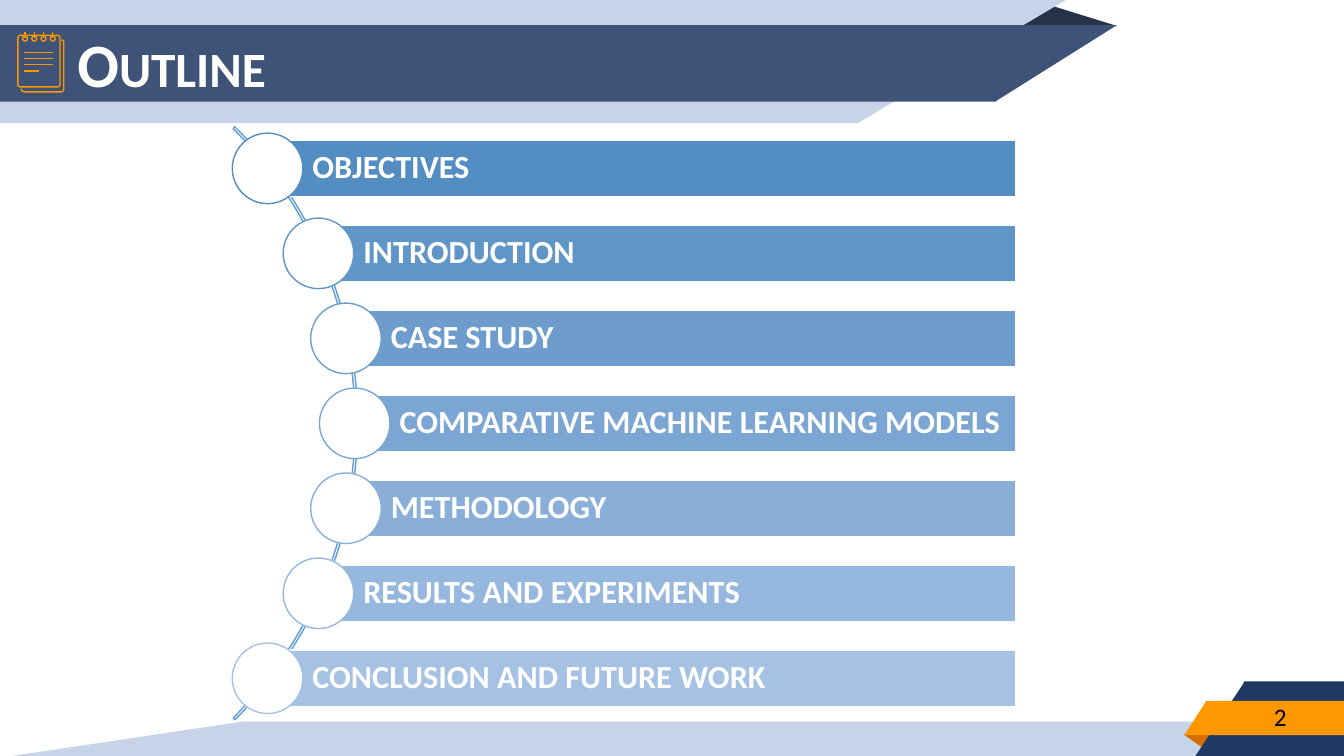
from math import sqrt

from lxml import etree
from pptx import Presentation
from pptx.dml.color import RGBColor as RGB
from pptx.enum.shapes import MSO_CONNECTOR as CONN, MSO_SHAPE as SHAPE
from pptx.enum.text import MSO_ANCHOR as ANCHOR, PP_ALIGN as ALIGN
from pptx.oxml.ns import qn
from pptx.util import Pt

COLORS = {
    "white": "FFFFFF", "black": "000000", "pale": "C7D3E6", "slate": "3F5378",
    "ink": "263248", "navy": "203864", "orange": "FF9800", "rust": "D26F00",
    "arc": "5F9CD5",
}


def style(sp, fill=None, line=None, weight=1):
    """Give a shape a flat fill and outline; None means neither."""
    sp.shadow.inherit = False
    if fill:
        sp.fill.solid()
        sp.fill.fore_color.rgb = RGB.from_string(fill)
    else:
        sp.fill.background()
    if line:
        sp.line.color.rgb = RGB.from_string(line)
        sp.line.width = Pt(weight)
    else:
        sp.line.fill.background()


def write(sp, text, size, color, bold, align, margins):
    tf = sp.text_frame
    frame = {"word_wrap": True, "vertical_anchor": ANCHOR.MIDDLE}
    sides = ("left", "top", "right", "bottom")
    frame.update({f"margin_{side}": Pt(m) for side, m in zip(sides, margins)})
    for name, value in frame.items():
        setattr(tf, name, value)
    p = tf.paragraphs[0]
    p.alignment, p.line_spacing = align, 0.9
    r = p.add_run()
    r.text = text
    for name, value in {"name": "Calibri", "size": Pt(size), "bold": bold}.items():
        setattr(r.font, name, value)
    r.font.color.rgb = RGB.from_string(color)
    return r


prs = Presentation()
prs.slide_width, prs.slide_height = Pt(960), Pt(540)
s = prs.slides.add_slide(prs.slide_layouts[6])
shapes = s.shapes

# Footer band, header ribbon and page tab: kind, box, colour, rotation, flipped
RECT, WEDGE, PEAK = SHAPE.RECTANGLE, SHAPE.RIGHT_TRIANGLE, SHAPE.ISOSCELES_TRIANGLE
decor = [
    (RECT, 171.4, 515.5, 709.9, 25.9, "pale", 0, False),
    (WEDGE, -0.7, 515.5, 173.5, 25.9, "pale", 0, True),
    (PEAK, 709.9, 0, 87.8, 18.5, "ink", 0, False),
    (RECT, -0.7, -0.7, 614.2, 88.6, "pale", 0, False),
    (WEDGE, 612.7, -0.7, 149.8, 88.6, "pale", 180, True),
    (RECT, -0.7, 18, 712.1, 54.7, "slate", 0, False),
    (WEDGE, 710.6, 18, 87.1, 54.7, "slate", 180, True),
    (PEAK, 845.3, 524.4, 20.9, 10.1, "rust", 180, False),
    (RECT, 888.5, 486.7, 72, 53.3, "navy", 0, False),
    (WEDGE, 853.9, 486.7, 35.3, 53.3, "navy", 0, True),
    (RECT, 861.1, 500.6, 99.4, 24.5, "orange", 0, False),
    (WEDGE, 846, 500.6, 15.8, 24.5, "orange", 0, True),
]
for kind, x, y, w, h, color, turn, flipped in decor:
    sp = shapes.add_shape(kind, Pt(x), Pt(y), Pt(w), Pt(h))
    style(sp, COLORS[color])
    sp.rotation = turn
    if kind == PEAK:
        sp.adjustments[0] = 0.32
    if flipped:
        sp._element.spPr.xfrm.set("flipH", "1")

# Notepad icon
ORANGE, STROKE = COLORS["orange"], 0.96
back_edge = [(15.1, 63.4), (15.8, 65), (17.3, 65.6), (43.9, 65.6), (45.2, 65),
             (45.6, 63.4), (45.6, 29.8), (45, 28.8), (43.9, 28.6)]
points = [(Pt(x), Pt(y)) for x, y in back_edge]
outline = shapes.build_freeform(*points[0], scale=1)
outline.add_line_segments(points[1:], close=False)
style(outline.convert_to_shape(), None, ORANGE, STROKE)

page = shapes.add_shape(SHAPE.ROUNDED_RECTANGLE, Pt(12.8), Pt(25.2), Pt(30.1), Pt(36.9))
page.adjustments[0] = 0.06
style(page, None, ORANGE, STROKE)

strokes = [(17.5, y, x, y) for x, y in ((37.9, 37.4), (37.9, 41.9), (37.9, 46.3), (28.1, 50.8))]
for i in range(4):
    x = 17.9 + 6.6 * i
    ring = shapes.add_shape(SHAPE.OVAL, Pt(x - 1.8), Pt(25.7), Pt(3.6), Pt(3.6))
    style(ring, None, ORANGE, STROKE)
    strokes.append((x, 23, x, 27.4))
for ends in strokes:
    line = shapes.add_connector(CONN.STRAIGHT, *[Pt(v) for v in ends])
    line.line.color.rgb = RGB.from_string(ORANGE)
    line.line.width = Pt(STROKE)
    etree.SubElement(line._element.spPr, qn("a:effectLst"))

title = shapes.add_textbox(Pt(48.2), Pt(17.3), Pt(689), Pt(62.6))
r = write(title, "Outline", 44, COLORS["white"], True, ALIGN.LEFT, [7.2] * 4)
r.font._element.set("cap", "small")
number = shapes.add_textbox(Pt(881.3), Pt(501.1), Pt(66.2), Pt(23.8))
write(number, "2", 18, COLORS["black"], False, ALIGN.CENTER, [7.2] * 4)

# Agenda: bars start at the centres of circles that sit on one arc
CENTER_X, CENTER_Y, RADIUS = -44, 302.4, 297.4
PITCH, BAR_RIGHT, BAR_H, DOT = 60.7, 725.5, 40.2, 50.4
ARC = 599
agenda = [
    ("OBJECTIVES", "538DC1"),
    ("INTRODUCTION", "6095C7"),
    ("CASE STUDY", "6E9DCD"),
    ("COMPARATIVE MACHINE LEARNING MODELS", "7BA6D3"),
    ("METHODOLOGY", "89AFD8"),
    ("RESULTS AND EXPERIMENTS", "97B8DE"),
    ("CONCLUSION AND FUTURE WORK", "A5C1E3"),
]
arc = shapes.add_shape(SHAPE.BLOCK_ARC, Pt(CENTER_X - ARC / 2), Pt(CENTER_Y - ARC / 2),
                       Pt(ARC), Pt(ARC))
for i, value in enumerate((189, 27, 0.003)):
    arc.adjustments[i] = value
style(arc, None, COLORS["arc"])

for i, (topic, color) in enumerate(agenda):
    dy = (i - len(agenda) // 2) * PITCH
    x, y = CENTER_X + sqrt(RADIUS ** 2 - dy ** 2), CENTER_Y + dy
    bar = shapes.add_shape(RECT, Pt(x), Pt(y - BAR_H / 2), Pt(BAR_RIGHT - x), Pt(BAR_H))
    style(bar, color, COLORS["white"])
    write(bar, topic, 23, COLORS["white"], True, ALIGN.LEFT, (32, 4.6, 4.6, 4.6))
    dot = shapes.add_shape(SHAPE.OVAL, Pt(x - DOT / 2), Pt(y - DOT / 2), Pt(DOT), Pt(DOT))
    style(dot, COLORS["white"], color)

prs.save("out.pptx")
